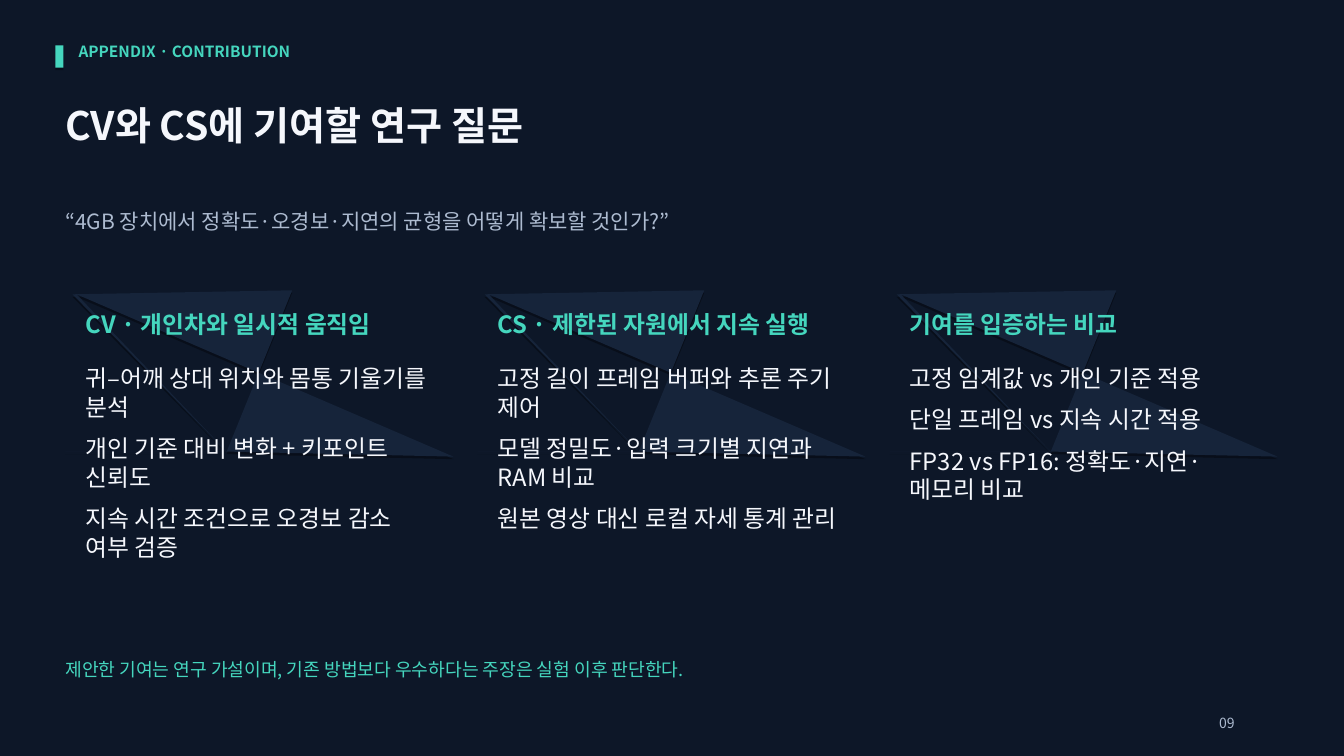
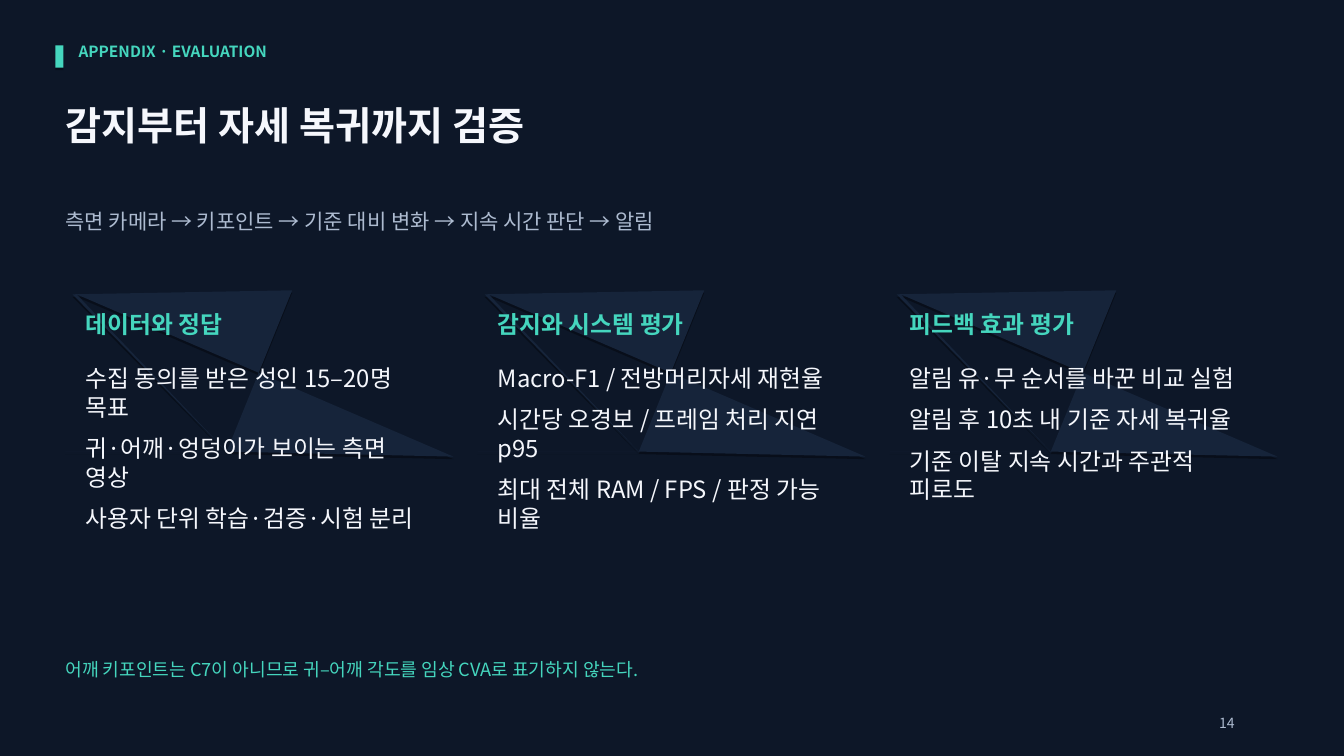
from lxml import etree
from pptx import Presentation
from pptx import util as u
from pptx.dml.color import RGBColor
from pptx.enum import shapes, text
from pptx.oxml.ns import qn

SLIDES = [
    {
        "label": "APPENDIX · CONTRIBUTION",
        "title": "CV와 CS에 기여할 연구 질문",
        "lead": "“4GB 장치에서 정확도·오경보·지연의 균형을 어떻게 확보할 것인가?”",
        "cards": [
            ("CV · 개인차와 일시적 움직임", [
                "귀–어깨 상대 위치와 몸통 기울기를 분석",
                "개인 기준 대비 변화 + 키포인트 신뢰도",
                "지속 시간 조건으로 오경보 감소 여부 검증"]),
            ("CS · 제한된 자원에서 지속 실행", [
                "고정 길이 프레임 버퍼와 추론 주기 제어",
                "모델 정밀도·입력 크기별 지연과 RAM 비교",
                "원본 영상 대신 로컬 자세 통계 관리"]),
            ("기여를 입증하는 비교", [
                "고정 임계값 vs 개인 기준 적용",
                "단일 프레임 vs 지속 시간 적용",
                "FP32 vs FP16: 정확도·지연·메모리 비교"]),
        ],
        "note": "제안한 기여는 연구 가설이며, 기존 방법보다 우수하다는 주장은 실험 이후 판단한다.",
        "page": "09",
    },
    {
        "label": "APPENDIX · EVALUATION",
        "title": "감지부터 자세 복귀까지 검증",
        "lead": "측면 카메라 → 키포인트 → 기준 대비 변화 → 지속 시간 판단 → 알림",
        "cards": [
            ("데이터와 정답", [
                "수집 동의를 받은 성인 15–20명 목표",
                "귀·어깨·엉덩이가 보이는 측면 영상",
                "사용자 단위 학습·검증·시험 분리"]),
            ("감지와 시스템 평가", [
                "Macro-F1 / 전방머리자세 재현율",
                "시간당 오경보 / 프레임 처리 지연 p95",
                "최대 전체 RAM / FPS / 판정 가능 비율"]),
            ("피드백 효과 평가", [
                "알림 유·무 순서를 바꾼 비교 실험",
                "알림 후 10초 내 기준 자세 복귀율",
                "기준 이탈 지속 시간과 주관적 피로도"]),
        ],
        "note": "어깨 키포인트는 C7이 아니므로 귀–어깨 각도를 임상 CVA로 표기하지 않는다.",
        "page": "14",
    },
]

PX = 9144  # EMU per px, 100 px to the inch
WIDTH, HEIGHT = 1334, 750
MINT, WHITE, GREY = "45D6BE", "F5F7FC", "ADBBD0"
THEME = {
    "font": "Noto Sans CJK KR",
    "back": "0D1728",
    "card": "16243A",
    "gap": 9.1,
    # role: size, colour, bold
    "label": (11, MINT, True),
    "title": (28, WHITE, True),
    "lead": (15, GREY, False),
    "head": (17, MINT, True),
    "body": (17, WHITE, False),
    "note": (13, MINT, False),
    "page": (10, GREY, False),
}

BAR = (55, 45, 8, 22)
PLACES = {
    "label": (78, 39, 1100, 21),
    "title": (65, 97, 1200, 50),
    "lead": (65, 204, 1200, 28),
    "note": (65, 650, 1203, 25),
    "page": (1210, 706, 60, 20),
}
LEFT, TOP, STEP = 65, 288, 409
PAD, INNER = 20, 345
# Outline of a card's backdrop, from the card's top left
FACETS = [(0, 160), (160, 160), (7, 4), (225, 0),
          (160, 160), (11, 4), (385, 165), (160, 160)]


def rgb(code):
    return RGBColor.from_string(code)


def box(area):
    return [u.Emu(n * PX) for n in area]


def paint(shape, color):
    """Fill without outline, with a thin hard shadow below."""
    shape.fill.solid()
    shape.fill.fore_color.rgb = rgb(color)
    shape.line.fill.background()
    shape.shadow.inherit = False
    effects = shape._element.spPr.find(qn("a:effectLst"))
    shade = etree.SubElement(effects, qn("a:outerShdw"), blurRad="0",
                             dist="22860", dir="5400000", rotWithShape="0")
    tone = etree.SubElement(shade, qn("a:srgbClr"), val="000000")
    etree.SubElement(tone, qn("a:alpha"), val="35000")


def write(shape, words, role):
    size, color, bold = THEME[role]
    frame = shape.text_frame
    frame.text = words
    frame.word_wrap = True
    frame.auto_size = text.MSO_AUTO_SIZE.NONE
    frame.vertical_anchor = text.MSO_ANCHOR.TOP
    frame.margin_left = frame.margin_right = frame.margin_bottom = 0
    frame.margin_top = u.Emu(3 * PX)
    for para in frame.paragraphs:
        para.alignment = text.PP_ALIGN.LEFT
        para.space_before = u.Pt(0)
        para.space_after = u.Pt(THEME["gap"])
        for run in para.runs:
            font = run.font
            font.name, font.size, font.bold = THEME["font"], u.Pt(size), bold
            font.color.rgb = rgb(color)
            etree.SubElement(run._r.rPr, qn("a:ea"), typeface=THEME["font"])


def label(slide, words, role, area):
    write(slide.shapes.add_textbox(*box(area)), words, role)


def add_card(slide, left, head, lines):
    (x, y), *rest = [(left + dx, TOP + dy) for dx, dy in FACETS]
    pen = slide.shapes.build_freeform(x, y, scale=PX)
    pen.add_line_segments(rest, close=True)
    paint(pen.convert_to_shape(), THEME["card"])
    label(slide, head, "head", (left + PAD, TOP + 16, INNER, 31))
    label(slide, "\n".join(lines), "body", (left + PAD, TOP + 70, INNER, 199))


def add_slide(deck, layout, data):
    slide = deck.slides.add_slide(layout)
    title = slide.shapes.title
    title.left, title.top, title.width, title.height = box(PLACES["title"])
    write(title, data["title"], "title")
    bar = slide.shapes.add_shape(shapes.MSO_SHAPE.RECTANGLE, *box(BAR))
    paint(bar, MINT)
    for role in ("label", "lead", "note", "page"):
        label(slide, data[role], role, PLACES[role])
    for i, (head, lines) in enumerate(data["cards"]):
        add_card(slide, LEFT + i * STEP, head, lines)


def main():
    deck = Presentation()
    deck.slide_width, deck.slide_height = box((WIDTH, HEIGHT))
    back = deck.slide_master.background.fill
    back.solid()
    back.fore_color.rgb = rgb(THEME["back"])
    layout = deck.slide_layouts.get_by_name("Title Only")
    for data in SLIDES:
        add_slide(deck, layout, data)
    deck.save("out.pptx")


if __name__ == "__main__":
    main()
